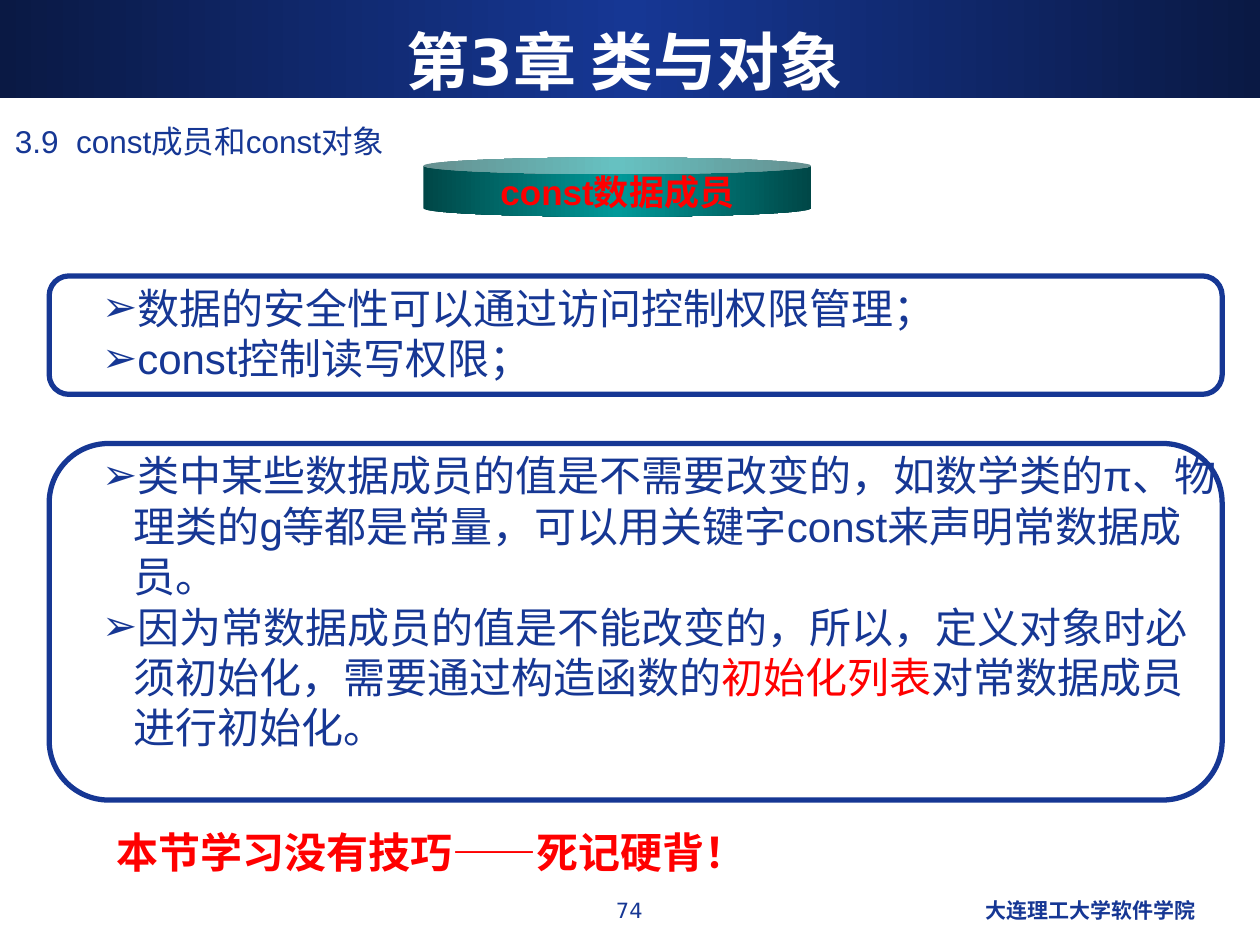
from copy import deepcopy
from dataclasses import dataclass

from pptx import Presentation
from pptx.dml.color import RGBColor
from pptx.enum.shapes import MSO_SHAPE
from pptx.enum.text import MSO_ANCHOR, MSO_AUTO_SIZE, PP_ALIGN
from pptx.oxml.ns import qn
from pptx.util import Inches, Pt

RECT, CAN, ROUNDED = MSO_SHAPE.RECTANGLE, MSO_SHAPE.CAN, MSO_SHAPE.ROUNDED_RECTANGLE
LEFT, CENTER, RIGHT = PP_ALIGN.LEFT, PP_ALIGN.CENTER, PP_ALIGN.RIGHT
TOP, MIDDLE = MSO_ANCHOR.TOP, MSO_ANCHOR.MIDDLE
TWO_CONTENT = 3


@dataclass(frozen=True)
class Theme:
    navy: str = "163794"
    dark_navy: str = "0A1944"
    teal: str = "009999"
    dark_teal: str = "004747"
    red: str = "FF0000"
    white: str = "FFFFFF"
    font: str = "Arial"
    display_font: str = "DejaVu Sans"
    title: int = 36
    body: int = 24
    label: int = 20
    section: int = 18
    footer: int = 12


THEME = Theme()


def place(box, left, top, width, height):
    box.left, box.top = Inches(left), Inches(top)
    box.width, box.height = Inches(width), Inches(height)


def add_bullet(para):
    """Give the paragraph a hanging arrow bullet."""
    properties = para._p.get_or_add_pPr()
    properties.set("marL", str(Inches(0.25)))
    properties.set("indent", str(-Inches(0.25)))
    color = properties.makeelement(qn("a:buClr"), {})
    color.append(color.makeelement(qn("a:srgbClr"), {"val": THEME.navy}))
    properties.append(color)
    properties.append(properties.makeelement(qn("a:buChar"), {"char": "➢"}))


def write(box, paragraphs, *, size, color=THEME.navy, font=THEME.font, bold=False,
          align=LEFT, anchor=TOP, bullets=False):
    """Fill a box; each paragraph is a list of texts or (text, colour) pairs."""
    frame = box.text_frame
    frame.word_wrap = True
    frame.auto_size = MSO_AUTO_SIZE.NONE
    frame.vertical_anchor = anchor
    for index, spans in enumerate(paragraphs):
        para = frame.add_paragraph() if index else frame.paragraphs[0]
        para.alignment = align
        para.space_before = Pt(0)
        if bullets:
            add_bullet(para)
        for item in spans:
            text, span_color = item if isinstance(item, tuple) else (item, color)
            span = para.add_run()
            span.text = text
            span.font.name = font
            span.font.size = Pt(size)
            span.font.bold = bold
            span.font.color.rgb = RGBColor.from_string(span_color)


def add_text(page, area, text, **style):
    box = page.shapes.add_textbox(*map(Inches, area))
    write(box, [[text]], **style)


def add_gradient_shape(page, kind, area, edge, middle):
    """Add a shape shaded from edge to middle and back, left to right."""
    shape = page.shapes.add_shape(kind, *map(Inches, area))
    shape.shadow.inherit = False
    shape.line.fill.background()
    shape.fill.gradient()
    shape.fill.gradient_angle = 0
    stops = shape._element.spPr.find(qn("a:gradFill")).find(qn("a:gsLst"))
    stops.insert(1, deepcopy(stops[0]))
    for stop, color, position in zip(shape.fill.gradient_stops,
                                     (edge, middle, edge), (0, 0.5, 1)):
        stop.color.rgb = RGBColor.from_string(color)
        stop.position = position
    return shape


def add_list_panel(page, body, top, frame_height, text_height, paragraphs):
    """Draw a rounded outline and put a bulleted body placeholder in it."""
    outline = page.shapes.add_shape(ROUNDED, Inches(0.39), Inches(top),
                                    Inches(9.31), Inches(frame_height))
    outline.shadow.inherit = False
    outline.fill.background()
    outline.line.color.rgb = RGBColor.from_string(THEME.navy)
    outline.line.width = Pt(3)
    place(body, 0.71, top, 9.05, text_height)
    write(body, paragraphs, size=THEME.body, bullets=True)


def main():
    deck = Presentation()
    deck.slide_width, deck.slide_height = Inches(10), Inches(7.5)
    page = deck.slides.add_slide(deck.slide_layouts[TWO_CONTENT])
    title, first_list, second_list = page.placeholders

    # Title banner, sent behind the title
    banner = add_gradient_shape(page, RECT, (0, 0, 10, 0.78),
                                THEME.dark_navy, THEME.navy)
    title._element.addprevious(banner._element)
    place(title, 0.33, 0.17, 9.25, 0.62)
    write(title, [["第3章 类与对象"]], size=THEME.title, color=THEME.white,
          font=THEME.display_font, bold=True, align=CENTER, anchor=MIDDLE)

    # Section heading and topic label
    add_text(page, (0.02, 0.92, 9.25, 0.33), "3.9  const成员和const对象",
             size=THEME.section)
    topic = add_gradient_shape(page, CAN, (3.36, 1.25, 3.08, 0.47),
                               THEME.dark_teal, THEME.teal)
    topic.adjustments[0] = 0.28
    write(topic, [["const数据成员"]], size=THEME.label, color=THEME.red,
          bold=True, align=CENTER, anchor=MIDDLE)

    # List panels
    add_list_panel(page, first_list, 2.19, 0.94, 0.9, [
        ["数据的安全性可以通过访问控制权限管理；"],
        ["const控制读写权限；"],
    ])
    add_list_panel(page, second_list, 3.52, 2.83, 2.5, [
        ["类中某些数据成员的值是不需要改变的，如数学类的π、物理类的g等都是常量，"
         "可以用关键字const来声明常数据成员。"],
        ["因为常数据成员的值是不能改变的，所以，定义对象时必须初始化，需要通过构造函数的",
         ("初始化列表", THEME.red), "对常数据成员进行初始化。"],
    ])

    # Closing remark
    add_text(page, (0.83, 6.51, 6.77, 0.5), "本节学习没有技巧——死记硬背！",
             size=THEME.body, color=THEME.red, bold=True)

    # Footer
    add_text(page, (3.83, 7.07, 2.33, 0.35), "74", size=THEME.footer,
             font=THEME.display_font, align=CENTER)
    add_text(page, (6.42, 7.07, 3.17, 0.35), "大连理工大学软件学院",
             size=THEME.footer, font=THEME.display_font, bold=True, align=RIGHT)

    deck.save("out.pptx")


if __name__ == "__main__":
    main()
